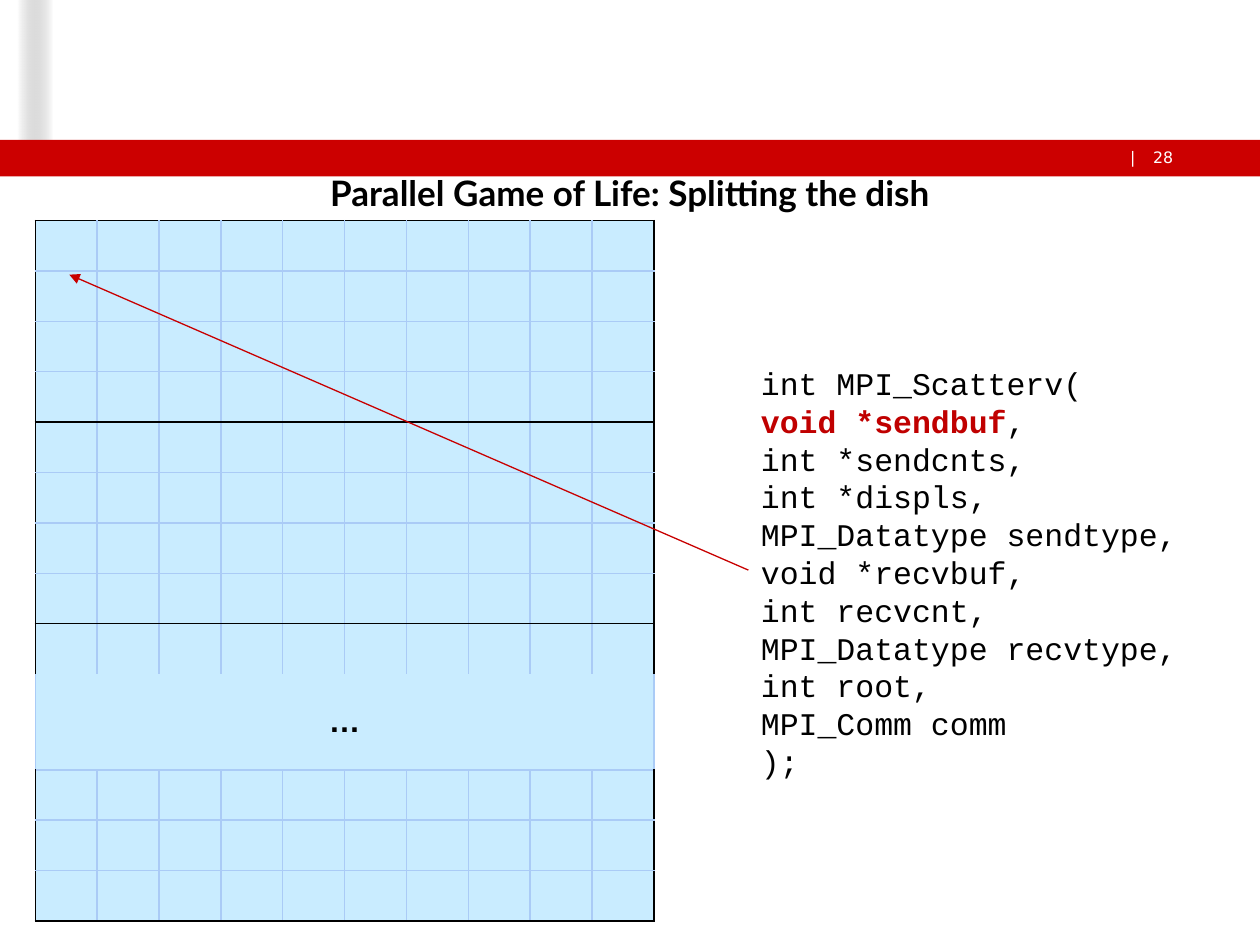
from typing import NamedTuple, Optional

from lxml import etree
from pptx import Presentation
from pptx.dml.color import RGBColor
from pptx.enum.shapes import MSO_CONNECTOR, MSO_SHAPE
from pptx.enum.text import MSO_ANCHOR, PP_ALIGN
from pptx.oxml.ns import qn
from pptx.util import Inches, Pt

RECT = MSO_SHAPE.RECTANGLE
LINE = MSO_CONNECTOR.STRAIGHT
TOP, MIDDLE = MSO_ANCHOR.TOP, MSO_ANCHOR.MIDDLE
LEFT, CENTER, RIGHT = PP_ALIGN.LEFT, PP_ALIGN.CENTER, PP_ALIGN.RIGHT

BLACK = RGBColor(0x00, 0x00, 0x00)
WHITE = RGBColor(0xFF, 0xFF, 0xFF)
GREY = RGBColor(0x75, 0x75, 0x75)
RED = RGBColor(0xCC, 0x00, 0x00)
ARROW = RGBColor(0xC8, 0x00, 0x00)
KEY = RGBColor(0xC0, 0x00, 0x00)
DISH = RGBColor(0xC9, 0xEC, 0xFF)
GRID = RGBColor(0xAA, 0xCB, 0xF6)

COLS, ROWS, GAP = 10, 13, 9   # the row numbered GAP is the merged one
BLOCKS = (3, 7, 12)           # last row of each part of the dish


class Box(NamedTuple):
    x: float
    y: float
    w: float
    h: float

    def place(self) -> tuple:
        return tuple(Inches(v) for v in self)


class Band(NamedTuple):
    box: Box
    color: Optional[RGBColor]  # None means the fading band


BANDS = (
    Band(Box(0.14, 0, 0.28, 1.11), None),
    Band(Box(0, 0, 0.14, 1.11), WHITE),
    Band(Box(0, 1.11, 10, 0.29), RED),
)

CODE = (
    "int MPI_Scatterv(",
    (("void *sendbuf", True), (",", False)),
    "int *sendcnts,",
    "int *displs, MPI_Datatype sendtype, void *recvbuf,",
    "int recvcnt, MPI_Datatype recvtype, int root,",
    "MPI_Comm comm",
    ");",
)


def write(frame, *lines, size: float, font: str, color=BLACK, bold=False,
          align=LEFT, anchor=TOP, inset=(0.1, 0.05), wrap=True, pitch=None):
    """Fill a text frame; a line is a string or (text, is key) pairs."""
    frame.word_wrap = wrap
    frame.vertical_anchor = anchor
    frame.margin_left = frame.margin_right = Inches(inset[0])
    frame.margin_top = frame.margin_bottom = Inches(inset[1])
    for i, line in enumerate(lines):
        para = frame.paragraphs[0] if i == 0 else frame.add_paragraph()
        para.alignment = align
        if pitch:
            para.line_spacing = Pt(pitch)
        parts = ((line, False),) if isinstance(line, str) else line
        for text, key in parts:
            run = para.add_run()
            run.text = text
            run.font.size, run.font.name = Pt(size), font
            run.font.bold = bold or key
            run.font.color.rgb = KEY if key else color


def draw_band(slide, band: Band) -> None:
    shape = slide.shapes.add_shape(RECT, *band.box.place())
    shape.shadow.inherit = False
    shape.line.fill.background()
    if band.color is not None:
        shape.fill.solid()
        shape.fill.fore_color.rgb = band.color
        return
    shape.fill.gradient()
    shape.fill.gradient_angle = 0
    first, last = shape.fill.gradient_stops
    first.color.rgb, first.position = WHITE, 0
    last.color.rgb, last.position = GREY, 1
    for tone in shape._element.spPr.iter(qn("a:srgbClr")):
        if tone.get("val") == str(GREY):
            etree.SubElement(tone, qn("a:alpha"), val="0")


def set_edge(cell, side: str, color: Optional[RGBColor]) -> None:
    props = cell._tc.get_or_add_tcPr()
    edge = etree.SubElement(props, qn(f"a:ln{side}"), w=str(Pt(1)))
    if color is None:
        etree.SubElement(edge, qn("a:noFill"))
    else:
        fill = etree.SubElement(edge, qn("a:solidFill"))
        etree.SubElement(fill, qn("a:srgbClr"), val=str(color))


def edges(row: int, col: int) -> dict:
    """Colours of a cell's sides: black around each part of the dish."""
    side = GRID if row == GAP else BLACK
    upper = BLACK if row == 0 or row - 1 in BLOCKS else GRID
    lower = BLACK if row in BLOCKS else GRID
    return {
        "L": side if col == 0 else GRID,
        "R": side if col == COLS - 1 else GRID,
        "T": None if row == GAP else upper,
        "B": None if row == GAP - 1 else lower,
    }


def draw_dish(slide, box: Box) -> None:
    frame = slide.shapes.add_table(ROWS, COLS, *box.place())
    table = frame.table
    table.first_row = table.horz_banding = False
    for col in table.columns:
        col.width = Inches(box.w / COLS)
    for i, row in enumerate(table.rows):
        row.height = Inches(0.76 if i == GAP else 0.4)
        for j, cell in enumerate(row.cells):
            cell.margin_top = cell.margin_bottom = Inches(0.03)
            for side, color in edges(i, j).items():
                set_edge(cell, side, color)
            cell.fill.solid()
            cell.fill.fore_color.rgb = DISH
    wide = table.cell(GAP, 0)
    wide.merge(table.cell(GAP, COLS - 1))
    wide.vertical_anchor = MIDDLE
    write(wide.text_frame, "…", size=18, font="Arial", bold=True,
          align=CENTER, anchor=MIDDLE)


def add_box(slide, box: Box, *lines, **look):
    shape = slide.shapes.add_textbox(*box.place())
    write(shape.text_frame, *lines, **look)
    return shape


def draw_arrow(slide, start, x: float, y: float) -> None:
    """Arrow from the left side of a shape to a point."""
    line = slide.shapes.add_connector(LINE, 0, 0, Inches(x), Inches(y))
    line.begin_connect(start, 1)
    line.end_x, line.end_y = Inches(x), Inches(y)
    line.line.color.rgb = ARROW
    line.line.width = Pt(0.75)
    etree.SubElement(line.line._get_or_add_ln(), qn("a:tailEnd"),
                     type="triangle")
    etree.SubElement(line._element.spPr, qn("a:effectLst"))


def main() -> None:
    deck = Presentation()
    deck.slide_width, deck.slide_height = Inches(10), Inches(7.5)
    slide = deck.slides.add_slide(deck.slide_layouts[5])

    # Header bands and page number
    for band in BANDS:
        draw_band(slide, band)
    small = dict(size=9, font="DejaVu Sans", color=WHITE, inset=(0, 0))
    add_box(slide, Box(9.03, 1.17, 0.28, 0.15), "28", align=RIGHT, **small)
    add_box(slide, Box(8.97, 1.17, 0.06, 0.15), "|", wrap=False, **small)

    # Title, in front of the bands
    title = slide.shapes.title
    title.left, title.top, title.width, title.height = Box(
        1.2, 1.31, 7.6, 0.44).place()
    write(title.text_frame, "Parallel Game of Life: Splitting the dish",
          size=20, font="Lato", bold=True, align=CENTER, anchor=MIDDLE)
    slide.shapes._spTree.append(title._element)

    # Dish, call and arrow
    draw_dish(slide, Box(0.28, 1.75, 4.91, 5.56))
    code = add_box(slide, Box(5.94, 2.81, 3.52, 3.43), *CODE, size=18,
                   font="Courier New", pitch=21.6, inset=(0.1, 0.08))
    draw_arrow(slide, code, 0.55, 2.18)

    deck.save("out.pptx")


if __name__ == "__main__":
    main()
